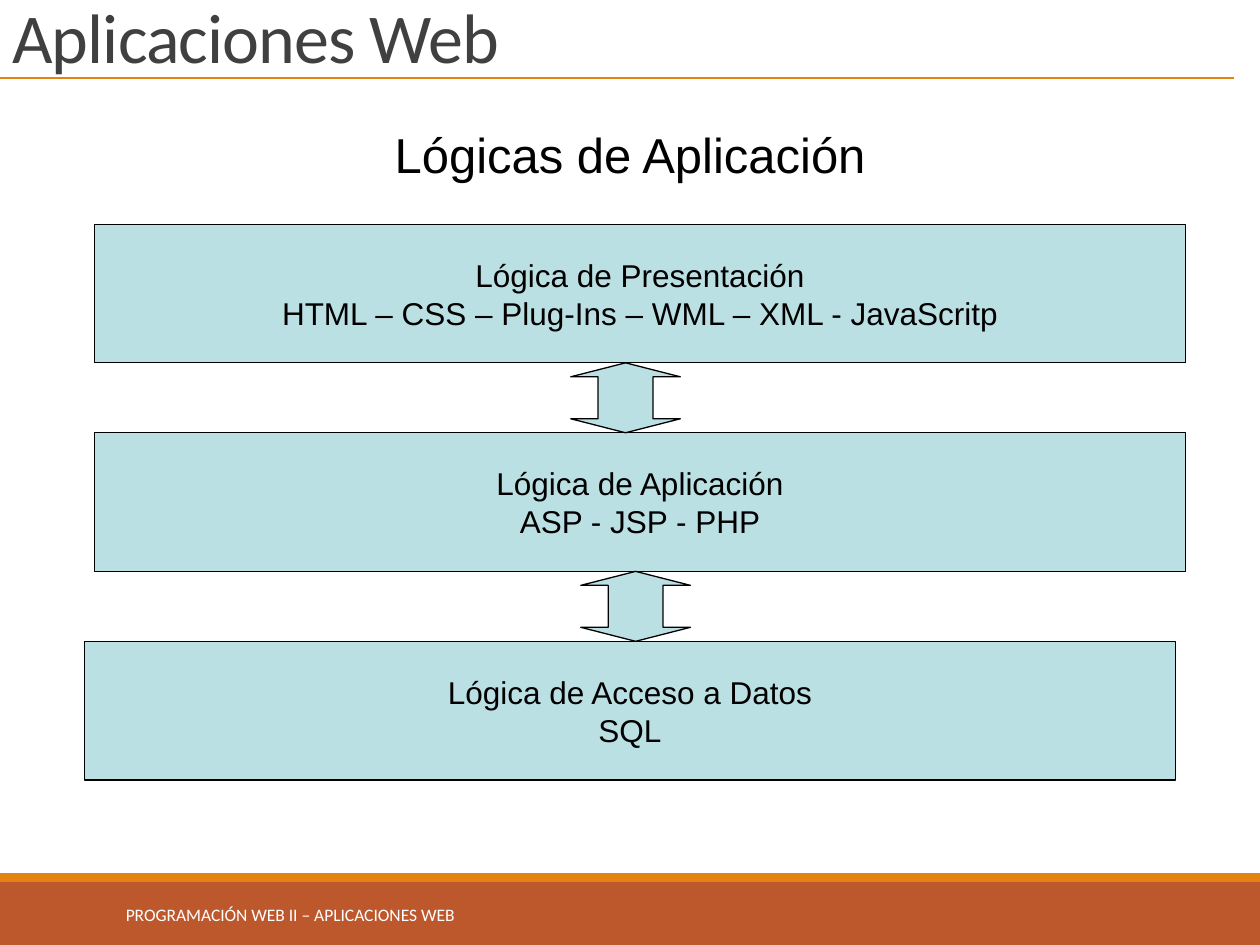
from pptx import Presentation
from pptx.dml.color import RGBColor
from pptx.enum.shapes import MSO_CONNECTOR, MSO_SHAPE as Shape
from pptx.enum.text import MSO_ANCHOR as Anchor, PP_ALIGN as Align
from pptx.oxml.ns import qn
from pptx.util import Inches, Pt

BLACK = RGBColor(0x00, 0x00, 0x00)
WHITE = RGBColor(0xFF, 0xFF, 0xFF)
GRAY = RGBColor(0x40, 0x40, 0x40)
ORANGE = RGBColor(0xE4, 0x83, 0x12)
RUST = RGBColor(0xBD, 0x58, 0x2C)
AQUA = RGBColor(0xBB, 0xE0, 0xE3)

SLIDE_W, SLIDE_H = Inches(10), Inches(7.5)

TITLE = dict(name="Calibri", size=Pt(40))
SUBTITLE = dict(name="Arial", size=Pt(28))
LAYER = dict(name="Arial", size=Pt(18))
FOOTER = dict(name="Calibri", size=Pt(10))

# Left edge and text lines of each layer, top to bottom
LAYERS = [
    (Inches(0.75), ["Lógica de Presentación",
                    "HTML – CSS – Plug-Ins – WML – XML - JavaScritp"]),
    (Inches(0.75), ["Lógica de Aplicación", "ASP - JSP - PHP"]),
    (Inches(0.67), ["Lógica de Acceso a Datos", "SQL"]),
]
ARROW_LEFTS = [Inches(4.53), Inches(4.61)]


def write(frame, lines, font, color, align=Align.LEFT, anchor=Anchor.MIDDLE, wrap=True):
    frame.word_wrap = wrap
    frame.vertical_anchor = anchor
    for i, line in enumerate(lines):
        paragraph = frame.add_paragraph() if i else frame.paragraphs[0]
        paragraph.alignment = align
        run = paragraph.add_run()
        run.text = line
        for key, value in font.items():
            setattr(run.font, key, value)
        run.font.color.rgb = color


def add_block(slide, kind, box, fill, outline=None):
    block = slide.shapes.add_shape(kind, *box)
    block.shadow.inherit = False
    block.fill.solid()
    block.fill.fore_color.rgb = fill
    if outline is None:
        block.line.fill.background()
    else:
        block.line.color.rgb = outline
        block.line.width = Pt(0.75)
    return block


def add_header(slide, left, top, width, height):
    # Title
    title = slide.shapes.add_textbox(left, top, width, height).text_frame
    write(title, ["Aplicaciones Web"], TITLE, GRAY, anchor=Anchor.TOP)
    heading = title.paragraphs[0]
    heading.line_spacing = 0.85
    heading.runs[0].font._element.set("spc", "-50")

    # Rule under the title
    rule_y = top + Inches(0.62)
    rule = slide.shapes.add_connector(
        MSO_CONNECTOR.STRAIGHT, left, rule_y, left + Inches(9.79), rule_y)
    rule.line.color.rgb = ORANGE
    rule.line.width = Pt(1)
    properties = rule._element.spPr
    properties.append(properties.makeelement(qn("a:effectLst"), {}))


def add_subtitle(slide, left, top, width, height):
    subtitle = slide.shapes.add_textbox(left, top, width, height)
    write(subtitle.text_frame, ["Lógicas de Aplicación"], SUBTITLE, BLACK, Align.CENTER)


def add_layers(slide, top, width, height):
    """Stack the layers in the given height, with arrows filling the gaps."""
    layer_h = Inches(1.1)
    pitch = (height - layer_h) // (len(LAYERS) - 1)

    # Layer boxes
    for i, (left, lines) in enumerate(LAYERS):
        layer = add_block(slide, Shape.RECTANGLE,
                          (left, top + i * pitch, width, layer_h), AQUA, BLACK)
        write(layer.text_frame, lines, LAYER, BLACK, Align.CENTER, wrap=False)

    # Arrows between layers
    for i, left in enumerate(ARROW_LEFTS):
        box = (left, top + i * pitch + layer_h, Inches(0.87), pitch - layer_h)
        arrow = add_block(slide, Shape.UP_DOWN_ARROW, box, AQUA, BLACK)
        arrow.adjustments[0] = 0.5
        arrow.adjustments[1] = 0.2
        # python-pptx names both guides of this shape adj1; number them apart
        for number, guide in enumerate(arrow._element.spPr.iter(qn("a:gd")), 1):
            guide.set("name", f"adj{number}")


def add_footer(slide, left, top, width, height):
    # Band with its accent stripe
    stripe_h = Inches(0.07)
    add_block(slide, Shape.RECTANGLE,
              (left, top + stripe_h, width, height - stripe_h), RUST)
    add_block(slide, Shape.RECTANGLE, (left, top, width, stripe_h), ORANGE)

    # Course name
    course = slide.shapes.add_textbox(
        left + Inches(0.9), top + Inches(0.13), Inches(3.96), Inches(0.4))
    write(course.text_frame, ["PROGRAMACIÓN WEB II – APLICACIONES WEB"], FOOTER, WHITE)


def main():
    deck = Presentation()
    deck.slide_width, deck.slide_height = SLIDE_W, SLIDE_H
    slide = deck.slides.add_slide(deck.slide_layouts[6])

    add_footer(slide, 0, Inches(6.93), SLIDE_W, Inches(0.57))
    add_subtitle(slide, Inches(0.5), Inches(0.6), Inches(9), Inches(1.25))
    add_layers(slide, Inches(1.78), Inches(8.66), Inches(4.41))
    add_header(slide, 0, 0, SLIDE_W, Inches(0.72))

    deck.save("out.pptx")


if __name__ == "__main__":
    main()
